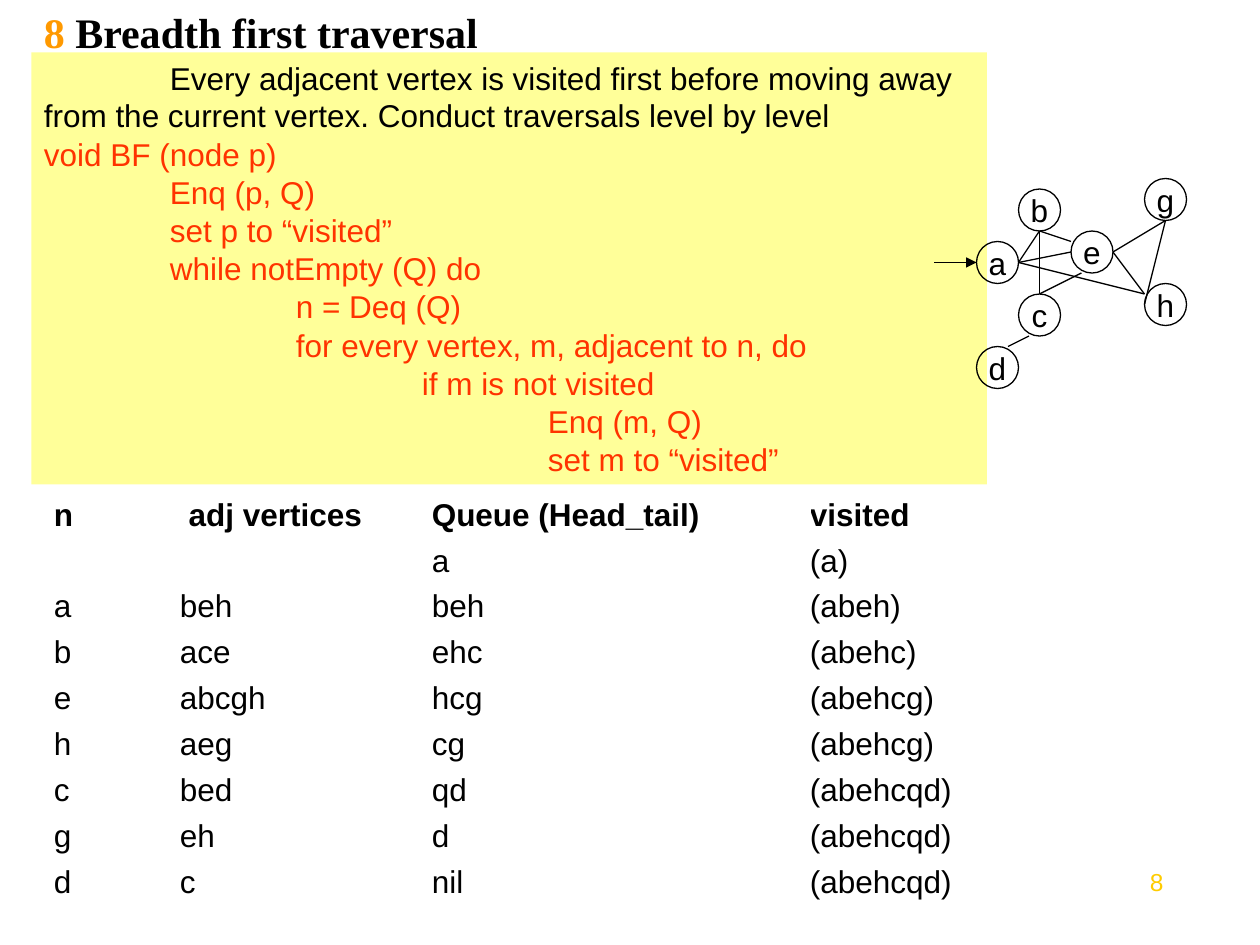
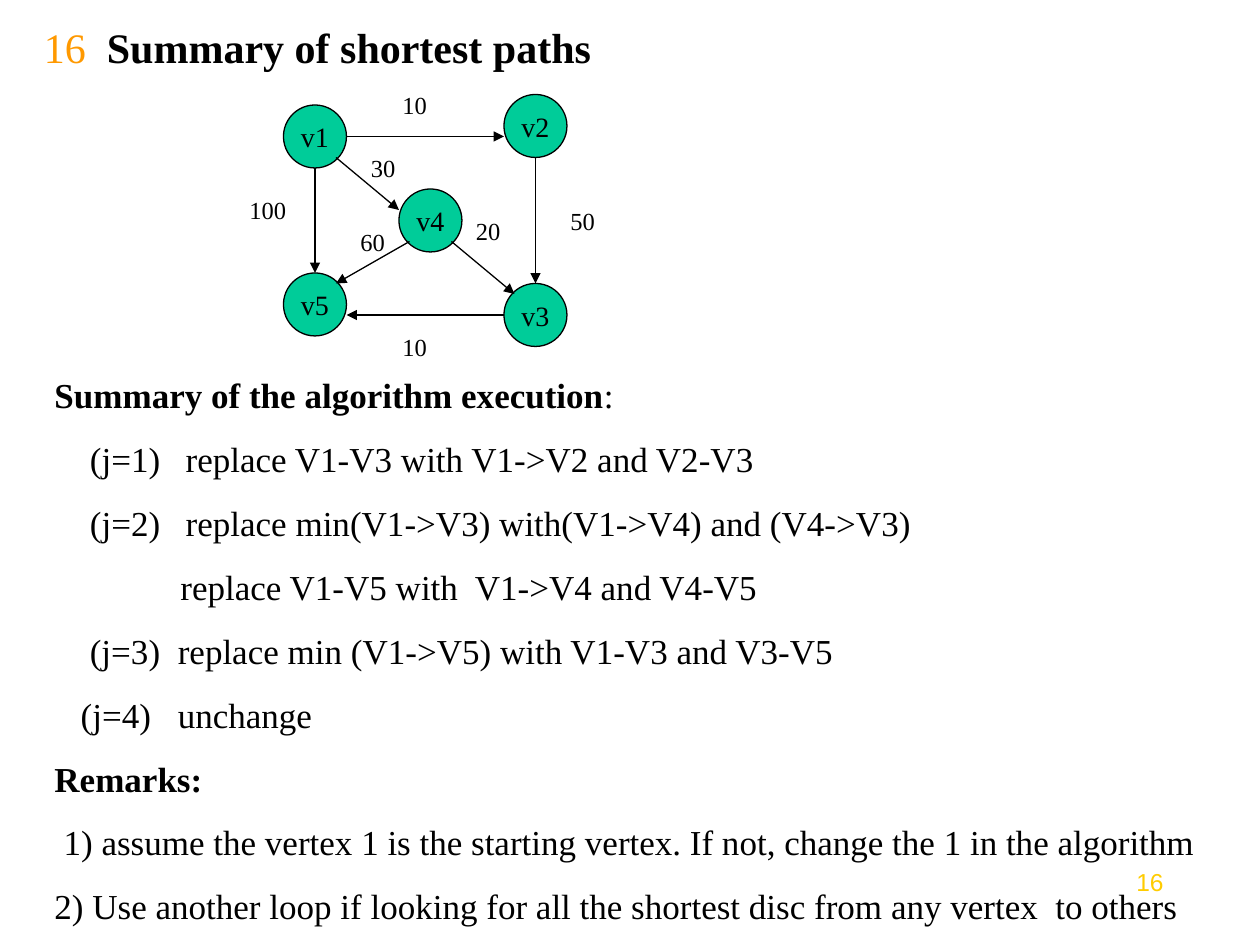
"""Builds two slides on graph algorithms: breadth first traversal and shortest paths."""
from dataclasses import dataclass
from typing import Optional

import pptx
import pptx.util
import pptx.dml.color
import pptx.enum.shapes
import pptx.enum.text
import pptx.oxml.ns
from lxml import etree

RGBColor = pptx.dml.color.RGBColor
Align = pptx.enum.text.PP_ALIGN
Anchor = pptx.enum.text.MSO_ANCHOR
Shape = pptx.enum.shapes.MSO_SHAPE

BLACK = RGBColor(0x00, 0x00, 0x00)
ORANGE = RGBColor(0xFF, 0x99, 0x00)
GOLD = RGBColor(0xFF, 0xCC, 0x00)
YELLOW = RGBColor(0xFF, 0xFF, 0x99)
RED = RGBColor(0xFF, 0x33, 0x00)
GREEN = RGBColor(0x00, 0xCC, 0x99)
SANS, SERIF = "Arial", "Times New Roman"
SCALE = 9525
TAB = 96


def px(size: int) -> int:
    """Turn px into EMU."""
    return pptx.util.Emu(size * SCALE)


@dataclass
class Run:
    """A stretch of text in one style."""
    text: str
    color: RGBColor = BLACK
    bold: bool = False


@dataclass
class Para:
    """Runs with the indent of the first line and of the body."""
    runs: list[Run]
    start: int = 0
    body: int = 0
    before: float = 0
    lines: Optional[float] = None
    align: Align = Align.LEFT


@dataclass
class Face:
    """A font name and its size in points."""
    name: str
    size: int


@dataclass
class Node:
    """A labelled vertex of a graph."""
    name: str
    left: int
    top: int


@dataclass
class Edge:
    """A line between two points."""
    x1: int
    y1: int
    x2: int
    y2: int
    arrow: bool = False


@dataclass
class Look:
    """How the vertices of one graph are drawn."""
    size: int
    face: Face
    fill: Optional[RGBColor] = None


def write(frame, paras: list[Para], face: Face) -> None:
    """Fill a text frame with paragraphs."""
    for i, para in enumerate(paras):
        line = frame.add_paragraph() if i else frame.paragraphs[0]
        line.alignment = para.align
        line.space_before = pptx.util.Pt(para.before)
        if para.lines:
            line.line_spacing = para.lines
        props = line._p.get_or_add_pPr()
        props.set("marL", str(px(para.body)))
        props.set("indent", str(px(para.start - para.body)))
        for part in para.runs:
            run = line.add_run()
            run.text = part.text
            run.font.name = face.name
            run.font.size = pptx.util.Pt(face.size)
            run.font.bold = part.bold
            run.font.color.rgb = part.color


def add_text(slide, box: tuple[int, int, int, int], paras: list[Para],
             face: Face, anchor: Anchor = Anchor.TOP) -> None:
    """Add a wrapping text box."""
    frame = slide.shapes.add_textbox(*map(px, box)).text_frame
    frame.word_wrap = True
    frame.vertical_anchor = anchor
    write(frame, paras, face)


def add_slide(deck, number: str, box: tuple[int, int, int, int], title: Para):
    """Add a blank slide with its title and page number."""
    slide = deck.slides.add_slide(deck.slide_layouts[6])
    add_text(slide, box, [title], Face(SERIF, 24), Anchor.MIDDLE)
    page = Para([Run(number, GOLD)], align=Align.RIGHT)
    add_text(slide, (832, 656, 64, 50), [page], Face(SANS, 14))
    return slide


def add_node(slide, node: Node, look: Look) -> None:
    """Draw a vertex as a labelled circle."""
    side = px(look.size)
    disc = slide.shapes.add_shape(Shape.OVAL, px(node.left), px(node.top), side, side)
    disc.shadow.inherit = False
    if look.fill is None:
        disc.fill.background()
    else:
        disc.fill.solid()
        disc.fill.fore_color.rgb = look.fill
    disc.line.color.rgb = BLACK
    disc.line.width = pptx.util.Pt(0.75)
    disc.text_frame.word_wrap = False
    disc.text_frame.vertical_anchor = Anchor.MIDDLE
    write(disc.text_frame, [Para([Run(node.name)], align=Align.CENTER)], look.face)


def add_edge(slide, edge: Edge) -> None:
    """Draw a line, with an arrowhead if asked."""
    kind = pptx.enum.shapes.MSO_CONNECTOR.STRAIGHT
    line = slide.shapes.add_connector(
        kind, px(edge.x1), px(edge.y1), px(edge.x2), px(edge.y2))
    line.line.color.rgb = BLACK
    line.line.width = pptx.util.Pt(0.75)
    qn = pptx.oxml.ns.qn
    if edge.arrow:
        etree.SubElement(line.line._get_or_add_ln(), qn("a:tailEnd"), type="triangle")
    etree.SubElement(line._element.spPr, qn("a:effectLst"))


def add_graph(slide, nodes: list[Node], edges: list[Edge], look: Look) -> None:
    """Draw all vertices and edges of a graph."""
    for node in nodes:
        add_node(slide, node, look)
    for edge in edges:
        add_edge(slide, edge)


def add_trace(slide, rows: list[tuple[str, ...]], left: int, top: int,
              widths: list[int], high: int) -> None:
    """Add a plain table whose first row is bold."""
    grid = slide.shapes.add_table(
        len(rows), len(widths), px(left), px(top),
        px(sum(widths)), px(high * len(rows))).table
    grid.first_row = grid.horz_banding = False
    for col, width in zip(grid.columns, widths):
        col.width = px(width)
    for i, row in enumerate(rows):
        grid.rows[i].height = px(high)
        for j, text in enumerate(row):
            cell = grid.cell(i, j)
            cell.fill.background()
            cell.margin_left = cell.margin_right = 0
            cell.margin_top = cell.margin_bottom = 0
            cell.vertical_anchor = Anchor.MIDDLE
            write(cell.text_frame, [Para([Run(text, bold=i == 0)])], Face(SANS, 18))


CODE = [
    (0, "void BF (node p)"),
    (1, "Enq (p, Q)"),
    (1, "set p to “visited”"),
    (1, "while notEmpty (Q) do"),
    (2, "n = Deq (Q)"),
    (2, "for every vertex, m, adjacent to n, do"),
    (3, "if m is not visited"),
    (4, "Enq (m, Q)"),
    (4, "set m to “visited”"),
]
TRACE = [
    ("n", " adj vertices", "Queue (Head_tail)", "visited"),
    ("", "", "a", "(a)"),
    ("a", "beh", "beh", "(abeh)"),
    ("b", "ace", "ehc", "(abehc)"),
    ("e", "abcgh", "hcg", "(abehcg)"),
    ("h", "aeg", "cg", "(abehcg)"),
    ("c", "bed", "qd", "(abehcqd)"),
    ("g", "eh", "d", "(abehcqd)"),
    ("d", "c", "nil", "(abehcqd)"),
]
WALK = [
    Node("b", 776, 144), Node("a", 744, 184), Node("e", 816, 176), Node("c", 776, 224),
    Node("d", 744, 264), Node("g", 872, 136), Node("h", 872, 216),
]
LINKS = [
    Edge(776, 200, 792, 176), Edge(792, 176, 816, 184), Edge(792, 224, 824, 208),
    Edge(792, 176, 792, 224), Edge(768, 264, 784, 256), Edge(888, 168, 872, 232),
    Edge(848, 192, 888, 168), Edge(848, 192, 872, 224), Edge(776, 200, 872, 224),
    Edge(776, 200, 816, 192), Edge(712, 200, 744, 200, True),
]
ROUTE = [
    Node("v1", 216, 80), Node("v2", 384, 72), Node("v4", 304, 144),
    Node("v5", 216, 208), Node("v3", 384, 216),
]
ROADS = [
    Edge(240, 128, 240, 208, True), Edge(264, 104, 384, 104, True),
    Edge(408, 120, 408, 216, True), Edge(384, 240, 264, 240, True),
    Edge(256, 120, 304, 160, True), Edge(312, 184, 256, 216, True),
    Edge(344, 184, 392, 224, True),
]
COSTS = [
    Node("10", 288, 64), Node("100", 176, 144), Node("30", 264, 112), Node("20", 344, 160),
    Node("50", 416, 152), Node("10", 288, 248), Node("60", 256, 168),
]
STEPS = [
    (27, 100, "(j=1)\treplace V1-V3 with V1->V2 and V2-V3"),
    (27, 100, "(j=2)\treplace min(V1->V3) with(V1->V4) and (V4->V3)"),
    (96, 96, "replace V1-V5 with  V1->V4 and V4-V5"),
    (27, 94, "(j=3)\treplace min (V1->V5) with V1-V3 and V3-V5"),
    (20, 94, "(j=4)\tunchange"),
]
NOTES = [
    (7, 0, "1) assume the vertex 1 is the starting vertex. "
           "If not, change the 1 in the algorithm"),
    (0, 0, "2) Use another loop if looking for all the shortest disc "
           "from any vertex  to others"),
]


def draw_walk(deck) -> None:
    """Build the breadth first slide."""
    title = Para([Run("8", ORANGE, True), Run(" Breadth first traversal", bold=True)], start=8)
    slide = add_slide(deck, "8", (16, 0, 816, 48), title)
    card = slide.shapes.add_shape(Shape.RECTANGLE, *map(px, (24, 40, 728, 329)))
    card.shadow.inherit = False
    card.fill.solid()
    card.fill.fore_color.rgb = YELLOW
    card.line.fill.background()
    card.text_frame.word_wrap = True
    card.text_frame.vertical_anchor = Anchor.TOP
    intro = Para([Run("Every adjacent vertex is visited first before moving away from "
                      "the current vertex. Conduct traversals level by level")],
                 start=TAB, before=11.2)
    code = [Para([Run(text, RED)], TAB * step, TAB * step, 4.5, 0.8) for step, text in CODE]
    write(card.text_frame, [intro, *code], Face(SANS, 18))
    add_trace(slide, TRACE, 41, 375, [96, 192, 288, 200], 35)
    add_graph(slide, WALK, LINKS, Look(32, Face(SANS, 18)))


def draw_route(deck) -> None:
    """Build the shortest paths slide."""
    title = Para([Run("16\t", ORANGE), Run("Summary of shortest paths", bold=True)], body=48)
    slide = add_slide(deck, "16", (24, 16, 816, 40), title)
    add_graph(slide, ROUTE, ROADS, Look(48, Face(SERIF, 16), GREEN))
    for cost in COSTS:
        label = Para([Run(cost.name)], before=8.8, align=Align.CENTER)
        add_text(slide, (cost.left, cost.top, 56, 33), [label], Face(SERIF, 14))
    gap = 12.5
    steps, notes = ([Para([Run(text)], start, body, gap) for start, body, text in part]
                    for part in (STEPS, NOTES))
    head = Para([Run("Summary of the algorithm execution", bold=True), Run(":")], before=gap)
    mark = Para([Run("Remarks:", bold=True)], before=gap)
    add_text(slide, (32, 280, 896, 431), [head, *steps, mark, *notes], Face(SERIF, 20))


def main() -> None:
    """Build and save the deck."""
    deck = pptx.Presentation()
    deck.slide_width, deck.slide_height = px(960), px(720)
    draw_walk(deck)
    draw_route(deck)
    deck.save("out.pptx")


if __name__ == "__main__":
    main()
